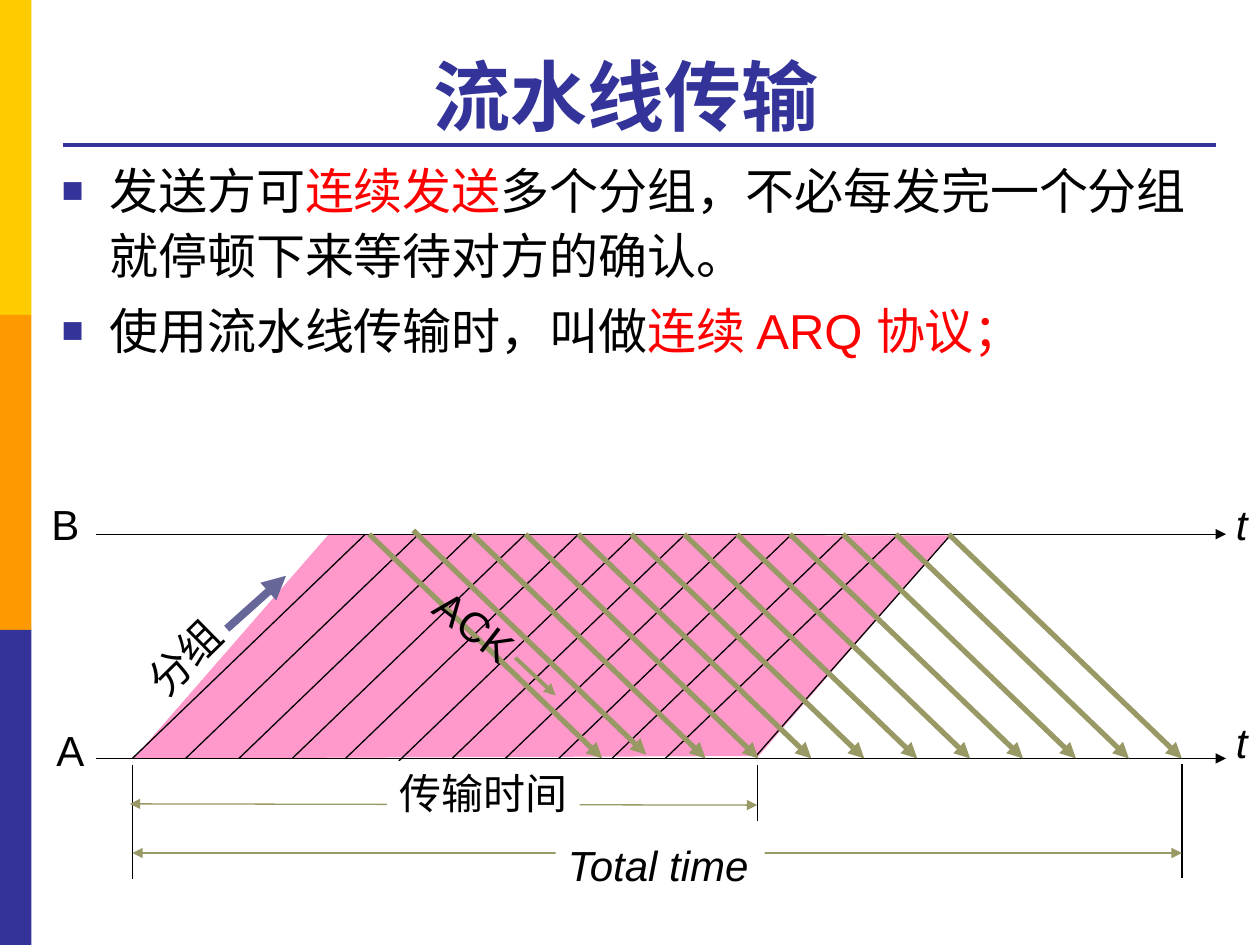
from lxml.etree import SubElement
from pptx import Presentation
from pptx.dml.color import RGBColor
from pptx.enum.shapes import MSO_CONNECTOR, MSO_SHAPE
from pptx.enum.text import MSO_ANCHOR, PP_ALIGN
from pptx.oxml.ns import qn
from pptx.util import Inches, Pt

NAVY = RGBColor(0x33, 0x33, 0x99)
YELLOW = RGBColor(0xFF, 0xCC, 0x00)
ORANGE = RGBColor(0xFF, 0x99, 0x00)
RED = RGBColor(0xFF, 0x00, 0x00)
PINK = RGBColor(0xFF, 0x99, 0xCC)
SLATE = RGBColor(0x66, 0x66, 0x99)
OLIVE = RGBColor(0x99, 0x99, 0x66)
BLACK = RGBColor(0x00, 0x00, 0x00)
WHITE = RGBColor(0xFF, 0xFF, 0xFF)

TOP, BOTTOM = 4.24, 6.02  # time axes of B and A
START, END = 1.05, 9.38
STEP, REACH = 0.42, 1.85  # packet spacing, horizontal travel of a signal


class SlideBuilder:
    font = "Arial"

    def __init__(self, slide):
        self.slide = slide
        self.shapes = slide.shapes

    def style(self, span, size, color, bold=False, italic=False):
        span.font.name = self.font
        span.font.size = Pt(size)
        span.font.color.rgb = color
        span.font.bold = bold
        span.font.italic = italic

    def paint(self, shape, color):
        shape.shadow.inherit = False
        shape.fill.solid()
        shape.fill.fore_color.rgb = color
        shape.line.fill.background()

    def bar(self, left, top, width, height, color):
        shape = self.shapes.add_shape(MSO_SHAPE.RECTANGLE, Inches(left), Inches(top),
                                      Inches(width), Inches(height))
        self.paint(shape, color)

    def polygon(self, points, color):
        corners = [(Inches(x), Inches(y)) for x, y in points]
        builder = self.shapes.build_freeform(*corners[0])
        builder.add_line_segments(corners[1:], close=True)
        self.paint(builder.convert_to_shape(), color)

    def line(self, x1, y1, x2, y2, color=BLACK, width=0.75, head=False, tail=False):
        connector = self.shapes.add_connector(MSO_CONNECTOR.STRAIGHT, Inches(x1), Inches(y1),
                                              Inches(x2), Inches(y2))
        connector.line.color.rgb = color
        connector.line.width = Pt(width)
        outline = connector.line._get_or_add_ln()
        for wanted, tag in ((head, "a:headEnd"), (tail, "a:tailEnd")):
            if wanted:
                SubElement(outline, qn(tag), type="triangle")
        SubElement(connector._element.spPr, qn("a:effectLst"))

    def text_box(self, left, top, width, height):
        return self.shapes.add_textbox(Inches(left), Inches(top), Inches(width), Inches(height))

    def label(self, text, left, top, width, rotation=0, italic=False, fill=None):
        box = self.text_box(left, top, width, 0.5)
        box.rotation = rotation
        if fill is not None:
            self.paint(box, fill)
        box.text_frame.word_wrap = False
        box.text_frame.text = text
        self.style(box.text_frame.paragraphs[0].runs[0], 24, BLACK, italic=italic)

    def title(self, text):
        box = self.text_box(0.55, 0.23, 8.98, 0.94)
        box.text_frame.word_wrap = True
        box.text_frame.vertical_anchor = MSO_ANCHOR.BOTTOM
        box.text_frame.text = text
        para = box.text_frame.paragraphs[0]
        para.alignment = PP_ALIGN.CENTER
        self.style(para.runs[0], 44, NAVY, bold=True)

    def bullets(self, items):
        frame = self.text_box(0.39, 1.18, 9.3, 2.73).text_frame
        frame.word_wrap = True
        for index, spans in enumerate(items):
            para = frame.add_paragraph() if index else frame.paragraphs[0]
            para.line_spacing = 1.1
            para.space_before = Pt(6)
            for text, color in spans:
                span = para.add_run()
                span.text = text
                self.style(span, 28, color)
            properties = para._p.get_or_add_pPr()
            properties.set("marL", str(Inches(0.38)))
            properties.set("indent", str(-Inches(0.38)))
            bullet_color = SubElement(properties, qn("a:buClr"))
            SubElement(bullet_color, qn("a:srgbClr"), val=str(NAVY))
            SubElement(properties, qn("a:buSzPct"), val="75000")
            SubElement(properties, qn("a:buFont"), typeface=self.font)
            SubElement(properties, qn("a:buChar"), char="■")


def main():
    deck = Presentation()
    deck.slide_width, deck.slide_height = Inches(10), Inches(7.5)
    page = SlideBuilder(deck.slides.add_slide(deck.slide_layouts[6]))

    # Side band, title and rule
    for index, color in enumerate((YELLOW, ORANGE, NAVY)):
        page.bar(0, 2.5 * index, 0.25, 2.5, color)
    page.line(0.5, 1.15, 9.65, 1.15, NAVY, 2.25)
    page.title("流水线传输 ")

    # Explanation
    page.bullets([
        [("发送方可", BLACK), ("连续发送", RED),
         ("多个分组，不必每发完一个分组就停顿下来等待对方的确认。", BLACK)],
        [("使用流水线传输时，叫做", BLACK), ("连续 ARQ 协议；", RED)],
    ])

    # Transmission area and time axes
    page.polygon([(1.06, BOTTOM), (2.61, TOP), (7.54, 4.25), (6.02, 6)], PINK)
    for y in (BOTTOM, TOP):
        page.line(0.76, y, 9.73, y, tail=True)
    page.label("B", 0.31, 3.91, 0.42)
    page.label("A", 0.35, 5.7, 0.43)
    for top in (3.91, 5.64):
        page.label("t", 9.71, top, 0.29, italic=True)

    # Packets going from A to B
    for index in range(11):
        x = START + index * 0.423
        shift = 0.02 if index == 5 else 0
        page.line(x, BOTTOM + shift, x + REACH, TOP + shift)
    page.line(6, 6, 7.55, TOP)

    # Acknowledgements going from B to A
    page.line(4.78 - REACH, TOP, 4.78, BOTTOM, OLIVE, 3, tail=True)
    page.line(5.13 - REACH, TOP - 0.03, 5.13, BOTTOM - 0.03, OLIVE, 3, tail=True)
    for index in range(10):
        x = 5.6 + index * STEP
        page.line(x - REACH, TOP, x, BOTTOM, OLIVE, 3, tail=True)

    # Direction labels
    page.label("分组", 1.03, 4.96, 0.87, rotation=315.3)
    page.line(1.8, 4.99, 2.27, 4.57, SLATE, 4.5, tail=True)
    page.label("ACK", 3.33, 4.72, 0.89, rotation=37.8)
    page.line(4.09, 5.22, 4.41, 5.52, OLIVE, 2.25, tail=True)

    # Time spans
    page.line(START, 6.07, START, 6.98)
    page.line(6.01, 6.07, 6.01, 6.52)
    page.line(END, 6.06, END, 6.97)
    page.line(1.03, 6.38, 6.01, 6.39, OLIVE, head=True, tail=True)
    page.label("传输时间", 3.07, 6.04, 1.53, fill=WHITE)
    page.line(START, 6.77, END, 6.77, OLIVE, head=True, tail=True)
    page.label("Total time", 4.41, 6.61, 1.66, italic=True, fill=WHITE)

    deck.save("out.pptx")


if __name__ == "__main__":
    main()
